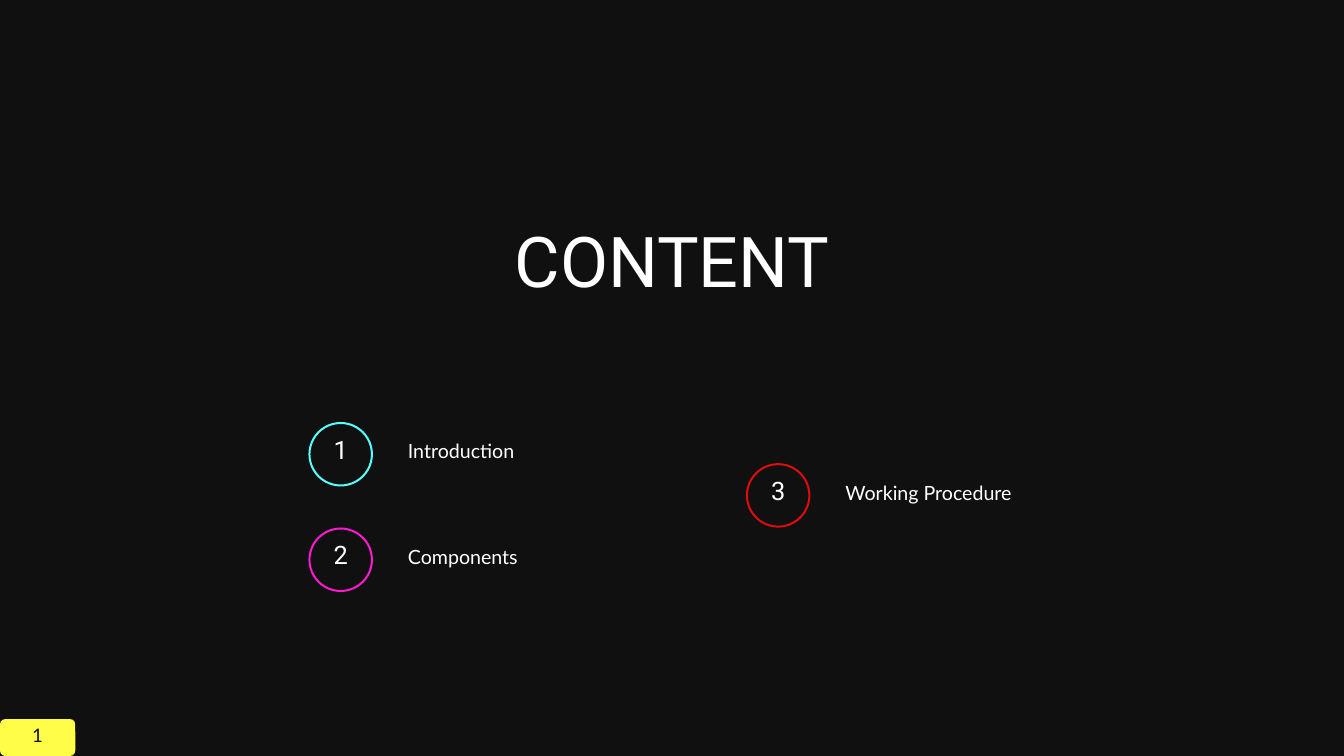
"""Build the dark contents slide with three numbered topics."""
from pptx import Presentation
from pptx.dml.color import RGBColor
from pptx.enum.shapes import MSO_SHAPE as Shape
from pptx.enum.text import MSO_AUTO_SIZE as AutoSize, PP_ALIGN as Align
from pptx.util import Inches, Pt

DARK = RGBColor(0x10, 0x10, 0x10)
WHITE = RGBColor(0xFF, 0xFF, 0xFF)
CYAN = RGBColor(0x57, 0xFF, 0xFF)
PINK = RGBColor(0xFF, 0x19, 0xCF)
RED = RGBColor(0xDF, 0x0C, 0x0C)
YELLOW = RGBColor(0xFF, 0xFD, 0x47)

WIDTH, HEIGHT = 20, 11.25
TITLE = "CONTENT"
PAGE_NUMBER = "1"
TOPICS = [
    ("1", "Introduction", CYAN, 0, 0),
    ("2", "Components", PINK, 0, 1),
    ("3", "Working Procedure", RED, 1, 0.39),
]

GRID_LEFT, GRID_TOP = 4.59, 6.28
COLUMN_STEP, ROW_STEP = 6.51, 1.57
RING, RING_LINE = 0.96, 0.03
BADGE_WIDTH, BADGE_HEIGHT, BADGE_CORNER = 1.12, 0.55, 0.08

STYLES = {
    "title": ({"name": "Roboto", "size": Pt(75)}, WHITE, 82.5, Align.CENTER),
    "number": ({"name": "Roboto", "size": Pt(27.2)}, WHITE, 26.1, Align.CENTER),
    "topic": ({"name": "Lato", "size": Pt(21)}, WHITE, 29.4, Align.LEFT),
    "page": ({"name": "Lato", "size": Pt(20)}, DARK, 28, Align.CENTER),
}


def add_text(shapes, text, style, *place):
    """Add a margin-free text box in one of the named styles."""
    font_values, color, spacing, align = STYLES[style]
    box = shapes.add_textbox(*map(Inches, place))
    frame = box.text_frame
    frame_values = {"word_wrap": True, "auto_size": AutoSize.SHAPE_TO_FIT_TEXT}
    margins = dict.fromkeys(
        ("margin_left", "margin_top", "margin_right", "margin_bottom"), 0)
    for name, value in {**frame_values, **margins}.items():
        setattr(frame, name, value)
    para = frame.paragraphs[0]
    para.alignment, para.line_spacing = align, Pt(spacing)
    span = para.add_run()
    span.text = text
    for name, value in font_values.items():
        setattr(span.font, name, value)
    span.font.color.rgb = color


def add_filled(shapes, kind, color, adjustment, *place):
    """Add a flat preset shape without an outline."""
    shape = shapes.add_shape(kind, *map(Inches, place))
    shape.shadow.inherit = False
    shape.adjustments[0] = adjustment
    shape.fill.solid()
    shape.fill.fore_color.rgb = color
    shape.line.fill.background()


def add_topic(shapes, number, label, color, column, row):
    """Add a numbered ring with its label at a grid position."""
    left = GRID_LEFT + column * COLUMN_STEP
    top = GRID_TOP + row * ROW_STEP
    marker = shapes.add_group_shape().shapes
    add_filled(marker, Shape.DONUT, color, RING_LINE / RING, left, top, RING, RING)
    add_text(marker, number, "number", left + 0.3, top + 0.27, 0.36, 0.44)
    add_text(shapes, label, "topic", left + 1.48, top + 0.2, 4.58, 0.46)


def main():
    """Assemble and save the deck."""
    deck = Presentation()
    deck.slide_width, deck.slide_height = Inches(WIDTH), Inches(HEIGHT)
    page = deck.slides.add_slide(deck.slide_layouts[6])
    page.background.fill.solid()
    page.background.fill.fore_color.rgb = DARK

    title_width = 15.2
    add_text(page.shapes, TITLE, "title",
             (WIDTH - title_width) / 2, 3.34, title_width, 1.27)
    for topic in TOPICS:
        add_topic(page.shapes, *topic)

    badge = page.shapes.add_group_shape().shapes
    badge_top = HEIGHT - BADGE_HEIGHT
    add_filled(badge, Shape.ROUNDED_RECTANGLE, YELLOW, BADGE_CORNER / BADGE_HEIGHT,
               0, badge_top, BADGE_WIDTH, BADGE_HEIGHT)
    add_text(badge, PAGE_NUMBER, "page", BADGE_CORNER, badge_top + 0.02,
             BADGE_WIDTH - 2 * BADGE_CORNER, 0.42)
    deck.save("out.pptx")


if __name__ == "__main__":
    main()
